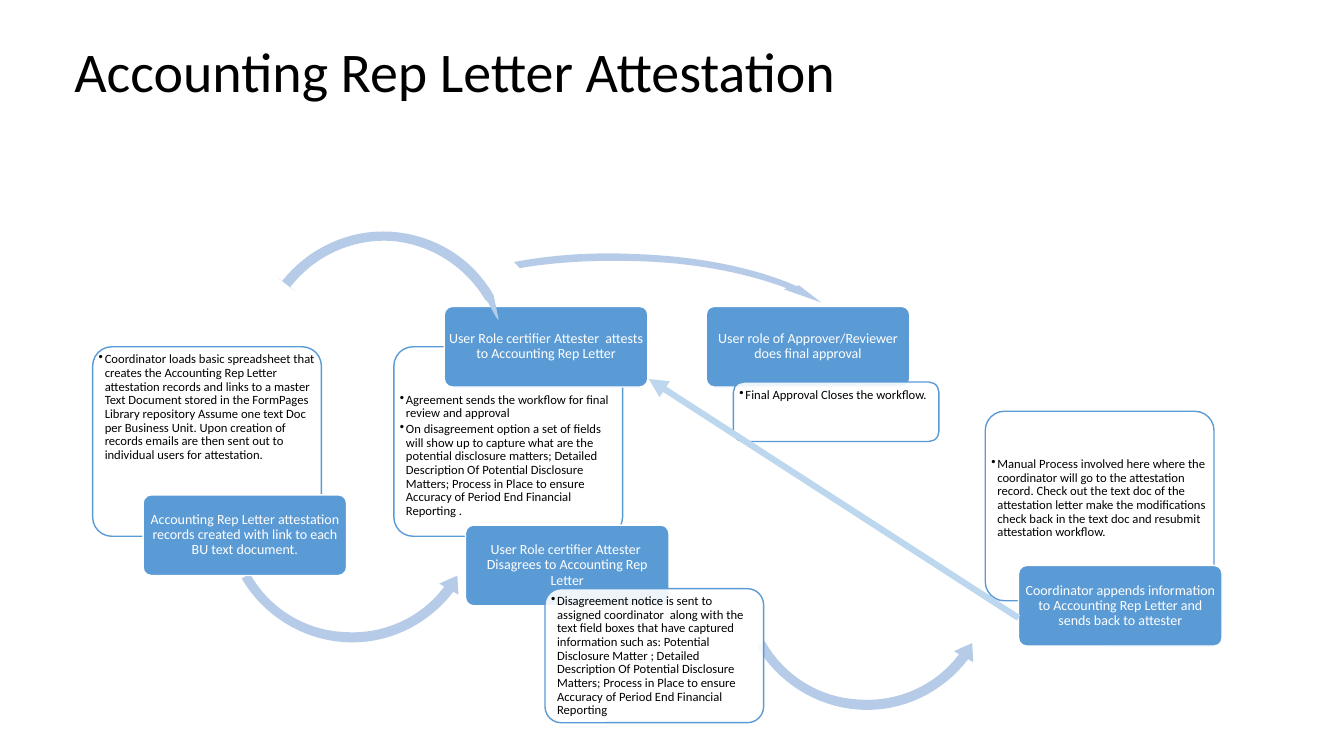
import lxml.etree
import pptx
import pptx.dml.color
import pptx.enum.shapes
import pptx.enum.text
import pptx.oxml.ns
import pptx.util

Inches, Pt = pptx.util.Inches, pptx.util.Pt
qn = pptx.oxml.ns.qn
ALIGN, ANCHOR = pptx.enum.text.PP_ALIGN, pptx.enum.text.MSO_ANCHOR

# Content
TITLE = "Accounting Rep Letter Attestation"
FONT = "Calibri"
BLUE, SWOOSH, PALE, WHITE, BLACK = "5B9BD5", "B5CBE7", "BDD7EE", "FFFFFF", "000000"
STEP_SIZE = (2.02, 0.8)
NOTE_SIZE = (2.27, 1.88)
STEP_RADIUS, NOTE_RADIUS = 0.08, 0.19

# Step: left, top, wording
APPROVE = (7.01, 3.04, "User role of Approver/Reviewer does final approval")
CREATE = (1.42, 4.91, "Accounting Rep Letter attestation records created with link to each BU text document.")
ATTEST = (4.41, 3.04, "User Role certifier Attester  attests to Accounting Rep Letter")
APPEND = (10.11, 5.61, "Coordinator appends information to Accounting Rep Letter and sends back to attester")
DISAGREE = (4.62, 5.21, "User Role certifier Attester  Disagrees to Accounting Rep Letter")

# Note: left, top, size, corner radius, top margin, bullets
LOAD_NOTE = (0.92, 3.44, NOTE_SIZE, NOTE_RADIUS, 0.06, [
    "Coordinator loads basic spreadsheet that creates the Accounting Rep Letter "
    "attestation records and links to a master Text Document stored in the FormPages "
    "Library repository Assume one text Doc per Business Unit. Upon creation of records "
    "emails are then sent out to individual users for attestation."])
ATTEST_NOTE = (3.91, 3.44, NOTE_SIZE, NOTE_RADIUS, 0.46, [
    "Agreement sends the workflow for final review and approval",
    "On disagreement option a set of fields will show up to capture what are the "
    "potential disclosure matters; Detailed Description Of Potential Disclosure Matters; "
    "Process in Place to ensure Accuracy of Period End Financial Reporting ."])
CLOSE_NOTE = (7.28, 3.79, (2.04, 0.59), 0.1, 0.06, ["Final Approval Closes the workflow."])
MANUAL_NOTE = (9.78, 4.08, NOTE_SIZE, NOTE_RADIUS, 0.46, [
    "Manual Process involved here where the coordinator will go to the attestation "
    "record. Check out the text doc of the attestation letter make the modifications "
    "check back in the text doc and resubmit attestation workflow."])
DISAGREE_NOTE = (5.41, 5.84, (2.17, 1.33), 0.16, 0.06, [
    "Disagreement notice is sent to assigned coordinator  along with the text field "
    "boxes that have captured information such as: Potential Disclosure Matter ; "
    "Detailed Description Of Potential Disclosure Matters; Process in Place to ensure "
    "Accuracy of Period End Financial Reporting"])

# Outline: start point, then straight (1 point) or curved (3 points) pieces
LOWER_ARC = [
    (2.4, 5.74), [(2.48, 5.69)],
    [(2.67, 6.03), (3.02, 6.25), (3.41, 6.27)], [(3.8, 6.3), (4.18, 6.13), (4.41, 5.82)],
    [(4.36, 5.79)], [(4.54, 5.71)], [(4.55, 5.9)], [(4.5, 5.87)],
    [(4.24, 6.21), (3.83, 6.4), (3.41, 6.37)], [(2.99, 6.34), (2.61, 6.1), (2.4, 5.74)]]
APPROVAL_ARC = [
    (5.1, 2.6), [(5.47, 2.53), (5.88, 2.5), (6.29, 2.52)],
    [(6.91, 2.54), (7.48, 2.65), (7.91, 2.84)],
    [(7.93, 2.83)], [(8.15, 3.0)], [(7.78, 2.87)], [(7.81, 2.86)],
    [(7.39, 2.7), (6.85, 2.6), (6.28, 2.59)], [(5.89, 2.58), (5.51, 2.6), (5.16, 2.66)]]
ATTEST_ARC = [
    (4.95, 3.17), [(4.93, 3.19), (4.84, 2.96), (4.82, 2.98)],
    [(4.62, 2.64), (4.27, 2.42), (3.88, 2.39)], [(3.49, 2.37), (3.12, 2.54), (2.88, 2.85)],
    [(2.93, 2.89)], [(2.84, 2.82)], [(2.75, 2.75)], [(2.8, 2.79)],
    [(3.06, 2.46), (3.47, 2.27), (3.89, 2.3)], [(4.31, 2.33), (4.69, 2.56), (4.9, 2.93)]]
SECOND_ARC_SHIFT = (5.11, 0.67)
RETURN_LINE = [(10.11, 6.13), (6.44, 3.76)]

deck = pptx.Presentation()
deck.slide_width, deck.slide_height = Inches(13.34), Inches(7.5)
page = deck.slides.add_slide(deck.slide_layouts[6])


def paint(target, color):
    if hasattr(target, "solid"):
        target.solid()
        target = target.fore_color
    target.rgb = pptx.dml.color.RGBColor.from_string(color)


def write(box, lines, size, color, after=0, align=ALIGN.LEFT, anchor=ANCHOR.TOP):
    frame = box.text_frame
    frame.word_wrap = True
    frame.vertical_anchor = anchor
    frame.text = "\n".join(lines)
    for para in frame.paragraphs:
        para.alignment = align
        para.line_spacing = 0.9
        para.space_after = Pt(after)
        for span in para.runs:
            span.font.name, span.font.size = FONT, Pt(size)
            paint(span.font.color, color)


def add_box(left, top, size, radius, fill, line, margins):
    box = page.shapes.add_shape(pptx.enum.shapes.MSO_SHAPE.ROUNDED_RECTANGLE,
                                *map(Inches, (left, top, *size)))
    box.adjustments[0] = radius / min(size)
    box.shadow.inherit = False
    paint(box.fill, fill)
    paint(box.line.fill, line)
    box.line.width = Pt(1)
    # The rounded corners already push the text in by 0.29 of the radius
    frame = box.text_frame
    frame.margin_left, frame.margin_top, frame.margin_right, frame.margin_bottom = (
        Inches(max(0, margin - 0.29 * radius)) for margin in margins)
    return box


def add_step(left, top, wording):
    box = add_box(left, top, STEP_SIZE, STEP_RADIUS, BLUE, WHITE, [0.04] * 4)
    write(box, [wording], 10, WHITE, 4.4, ALIGN.CENTER, ANCHOR.MIDDLE)


def add_note(left, top, size, radius, top_margin, bullets):
    box = add_box(left, top, size, radius, WHITE, BLUE, [0.06, top_margin, 0.06, 0.06])
    color = box.fill._xPr.find(qn("a:solidFill"))[0]
    lxml.etree.SubElement(color, qn("a:alpha")).set("val", "90000")
    write(box, bullets, 9, BLACK, 1.6)
    for para in box.text_frame.paragraphs:
        props = para._p.get_or_add_pPr()
        props.set("marL", str(Inches(0.06)))
        props.set("indent", str(-Inches(0.06)))
        lxml.etree.SubElement(props, qn("a:buChar")).set("char", "•")


def add_arc(outline, shift=(0, 0), steps=16):
    points = [outline[0]]
    for piece in outline[1:]:
        if len(piece) == 1:
            points += piece
            continue
        corners = [points[-1], *piece]
        for step in range(1, steps + 1):
            t = step / steps
            weights = ((1 - t) ** 3, 3 * t * (1 - t) ** 2, 3 * t * t * (1 - t), t ** 3)
            points.append(tuple(sum(w * corner[axis] for w, corner in zip(weights, corners))
                                for axis in (0, 1)))
    places = [(Inches(x + shift[0]), Inches(y + shift[1])) for x, y in points]
    builder = page.shapes.build_freeform(*places[0])
    builder.add_line_segments(places[1:], close=True)
    arc = builder.convert_to_shape()
    arc.shadow.inherit = False
    paint(arc.fill, SWOOSH)
    arc.line.fill.background()


# Title
title = page.shapes.add_textbox(*map(Inches, (0.64, 0.4, 11.13, 0.68)))
write(title, [TITLE], 40, BLACK, anchor=ANCHOR.MIDDLE)

# Workflow, from back to front
add_step(*APPROVE)
add_note(*LOAD_NOTE)
add_arc(LOWER_ARC)
add_step(*CREATE)
add_note(*ATTEST_NOTE)
add_arc(APPROVAL_ARC)
add_step(*ATTEST)
add_note(*CLOSE_NOTE)
add_note(*MANUAL_NOTE)
add_step(*APPEND)
add_arc(LOWER_ARC, SECOND_ARC_SHIFT)
add_step(*DISAGREE)
add_arc(ATTEST_ARC)
add_note(*DISAGREE_NOTE)

# Return arrow to the attester
(start, finish) = RETURN_LINE
arrow = page.shapes.add_connector(pptx.enum.shapes.MSO_CONNECTOR.STRAIGHT,
                                  *map(Inches, start + finish))
paint(arrow.line.fill, PALE)
arrow.line.width = Pt(4.5)
lxml.etree.SubElement(arrow.line._get_or_add_ln(), qn("a:tailEnd")).set("type", "triangle")
lxml.etree.SubElement(arrow._element.spPr, qn("a:effectLst"))

deck.save("out.pptx")
